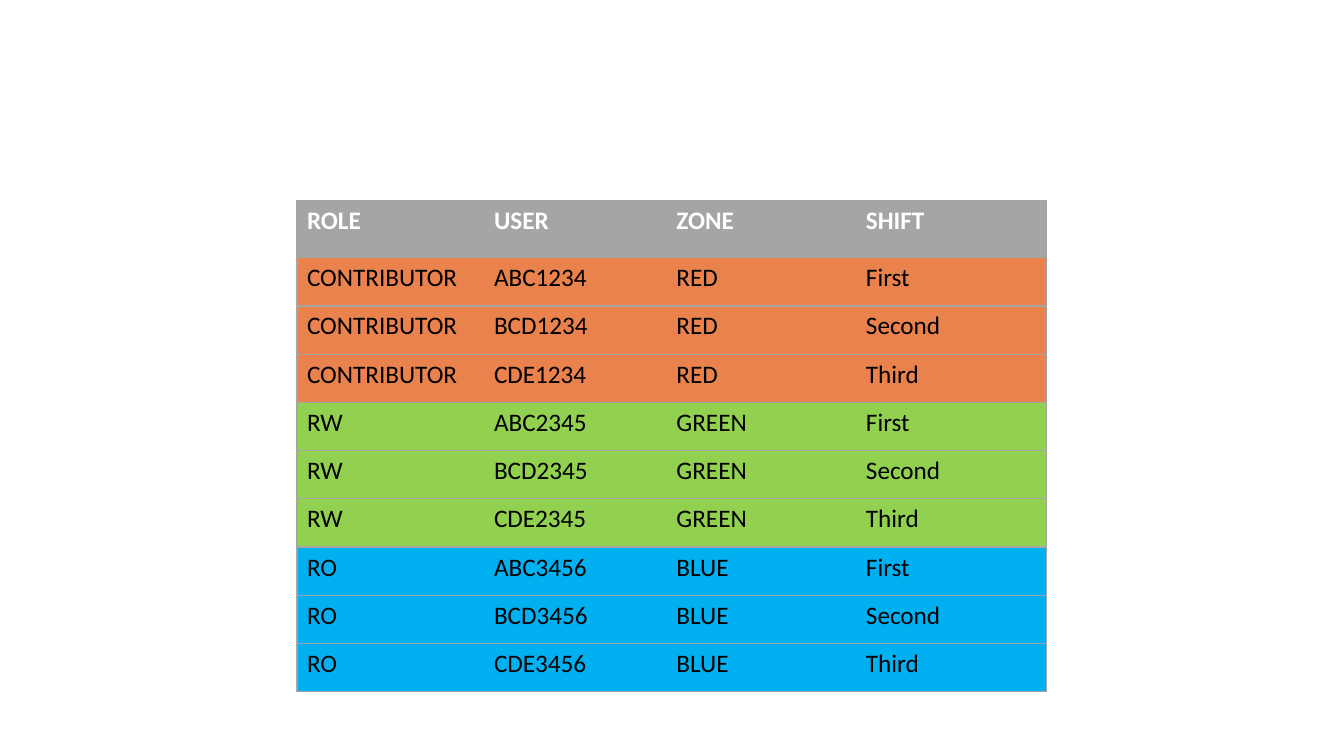
from pptx import Presentation
from pptx.dml.color import RGBColor
from pptx.oxml.ns import qn
from pptx.util import Pt
from lxml.etree import SubElement

WHITE = RGBColor(0xFF, 0xFF, 0xFF)
BLACK = RGBColor(0x00, 0x00, 0x00)
GRAY = RGBColor(0xA5, 0xA5, 0xA5)
ORANGE = RGBColor(0xE9, 0x82, 0x4D)
GREEN = RGBColor(0x92, 0xD0, 0x50)
BLUE = RGBColor(0x00, 0xB0, 0xF0)

FONT = "Calibri"
HEADINGS = ("ROLE", "USER", "ZONE", "SHIFT")
ZONES = (
    ("CONTRIBUTOR", "1234", "RED", ORANGE),
    ("RW", "2345", "GREEN", GREEN),
    ("RO", "3456", "BLUE", BLUE),
)
SHIFTS = (("ABC", "First"), ("BCD", "Second"), ("CDE", "Third"))
COLUMN_WIDTHS = (133.6, 130.3, 135.4, 136.4)
HEADER_HEIGHT = 40.8


def set_borders(cell, visible_sides):
    properties = cell._tc.get_or_add_tcPr()
    for side in "LRTB":
        line = SubElement(properties, qn(f"a:ln{side}"), w=str(Pt(1)))
        if side in visible_sides:
            fill = SubElement(line, qn("a:solidFill"))
            SubElement(fill, qn("a:srgbClr"), val=str(GRAY))
        else:
            SubElement(line, qn("a:noFill"))


def fill_cell(cell, text, background, text_color, bold):
    cell.fill.solid()
    cell.fill.fore_color.rgb = background
    run = cell.text_frame.paragraphs[0].add_run()
    run.text = text
    run.font.name = FONT
    run.font.size = Pt(18)
    run.font.bold = bold
    run.font.color.rgb = text_color


def add_access_table(slide, left, top, width, height):
    rows = [(HEADINGS, GRAY)]
    for role, number, zone, color in ZONES:
        for prefix, shift in SHIFTS:
            rows.append(((role, prefix + number, zone, shift), color))

    frame = slide.shapes.add_table(
        len(rows), len(HEADINGS), Pt(left), Pt(top), Pt(width), Pt(height)
    )
    table = frame.table
    table.horz_banding = False
    for column, column_width in zip(table.columns, COLUMN_WIDTHS):
        column.width = Pt(column_width)

    body_height = (height - HEADER_HEIGHT) / (len(rows) - 1)
    last_column = len(HEADINGS) - 1
    for row_index, (texts, background) in enumerate(rows):
        is_header = row_index == 0
        table.rows[row_index].height = Pt(HEADER_HEIGHT if is_header else body_height)
        for column_index, text in enumerate(texts):
            cell = table.cell(row_index, column_index)
            sides = "TB"
            if column_index == 0:
                sides += "L"
            if column_index == last_column:
                sides += "R"
            set_borders(cell, sides)
            fill_cell(cell, text, background, WHITE if is_header else BLACK, is_header)


def main():
    presentation = Presentation()
    presentation.slide_width = Pt(960)
    presentation.slide_height = Pt(540)
    slide = presentation.slides.add_slide(presentation.slide_layouts[6])
    add_access_table(slide, 212.1, 143.3, sum(COLUMN_WIDTHS), 350.8)
    presentation.save("out.pptx")


if __name__ == "__main__":
    main()
